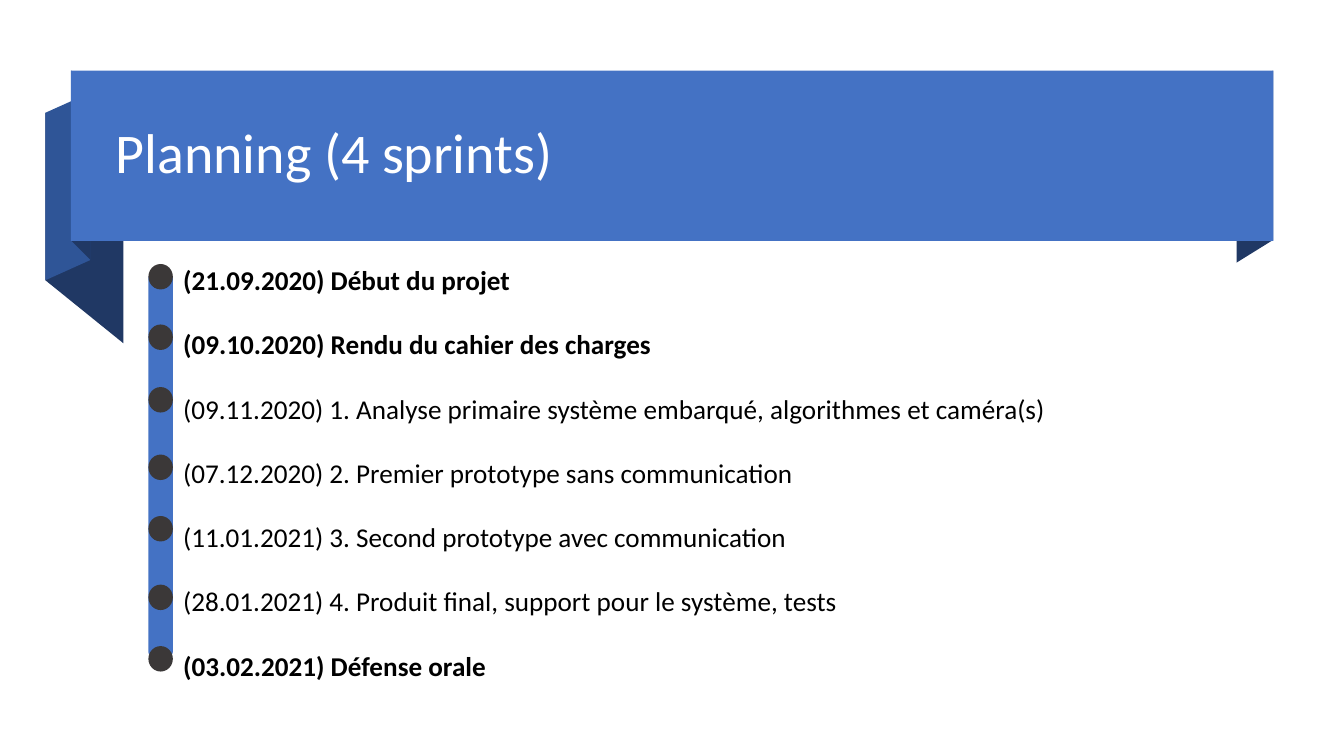
from pptx import Presentation
from pptx.dml.color import RGBColor
from pptx.enum import shapes, text
from pptx.util import Pt

BLUE, MID, NAVY, GREY = "4472C4", "2F5597", "203864", "3B3838"
WHITE, BLACK = "FFFFFF", "000000"

FOLDS = [
    (NAVY, [(88.2, 245.3), (32.4, 200.2), (32.4, 80.6), (88.2, 126)]),
    (MID, [(64.4, 185.8), (32.4, 200.2), (32.4, 80.6), (64.4, 66.2)]),
    (NAVY, [(64.4, 185.4), (51, 172), (51, 50.4), (64.4, 64.1)]),
    (NAVY, [(909.4, 171.4), (883.4, 187.5), (883.4, 65.5), (909.4, 50.4)]),
]
STEPS = [
    ("(21.09.2020) Début du projet", True),
    ("(09.10.2020) Rendu du cahier des charges", True),
    ("(09.11.2020) 1. Analyse primaire système embarqué, "
     "algorithmes et caméra(s)", False),
    ("(07.12.2020) 2. Premier prototype sans communication", False),
    ("(11.01.2021) 3. Second prototype avec communication", False),
    ("(28.01.2021) 4. Produit final, support pour le système, tests", False),
    ("(03.02.2021) Défense orale", True),
]
DOTS = [188.6, 231.8, 276.5, 324.7, 368.6, 417.6, 461.5]


def color(code):
    return RGBColor.from_string(code)


def paint(shape, code):
    shape.shadow.inherit = False
    shape.fill.solid()
    shape.fill.fore_color.rgb = color(code)
    shape.line.fill.background()


def fold(slide, code, points):
    first, *rest = [(Pt(x), Pt(y)) for x, y in points]
    form = slide.shapes.build_freeform(*first)
    form.add_line_segments(rest)
    paint(form.convert_to_shape(), code)


def solid(slide, kind, code, *box):
    shape = slide.shapes.add_shape(kind, *map(Pt, box))
    paint(shape, code)
    return shape


def write(slide, box, lines, size, code, anchor, pitch, gap=0):
    frame = slide.shapes.add_textbox(*map(Pt, box)).text_frame
    frame.word_wrap = True
    frame.vertical_anchor = anchor
    for i, (words, bold) in enumerate(lines):
        para = frame.paragraphs[0] if i == 0 else frame.add_paragraph()
        para.line_spacing = pitch
        para.space_before = Pt(gap if i else 0)
        run = para.add_run()
        run.text = words
        run.font.name = "Calibri"
        run.font.size = Pt(size)
        run.font.bold = bold
        run.font.color.rgb = color(code)


def main():
    deck = Presentation()
    deck.slide_width, deck.slide_height = Pt(960), Pt(540)
    slide = deck.slides.add_slide(deck.slide_layouts[6])
    kinds, anchors = shapes.MSO_SHAPE, text.MSO_ANCHOR

    for code, points in FOLDS:
        fold(slide, code, points)
    solid(slide, kinds.RECTANGLE, BLUE, 50.6, 50.4, 859, 121.7)
    write(slide, (75.6, 63.4, 808.6, 95.8), [("Planning (4 sprints)", False)],
          40, WHITE, anchors.MIDDLE, 0.9)
    write(slide, (123.8, 191.1, 746.6, 305.7), STEPS,
          19.4, BLACK, anchors.TOP, 0.7, 29.6)

    bar = solid(slide, kinds.ROUNDED_RECTANGLE, BLUE, 106, 195.8, 17.5, 272.9)
    bar.adjustments[0] = 0.17
    for top in DOTS:
        solid(slide, kinds.OVAL, GREY, 106, top, 17.5, 18.2)
    deck.save("out.pptx")


if __name__ == "__main__":
    main()
